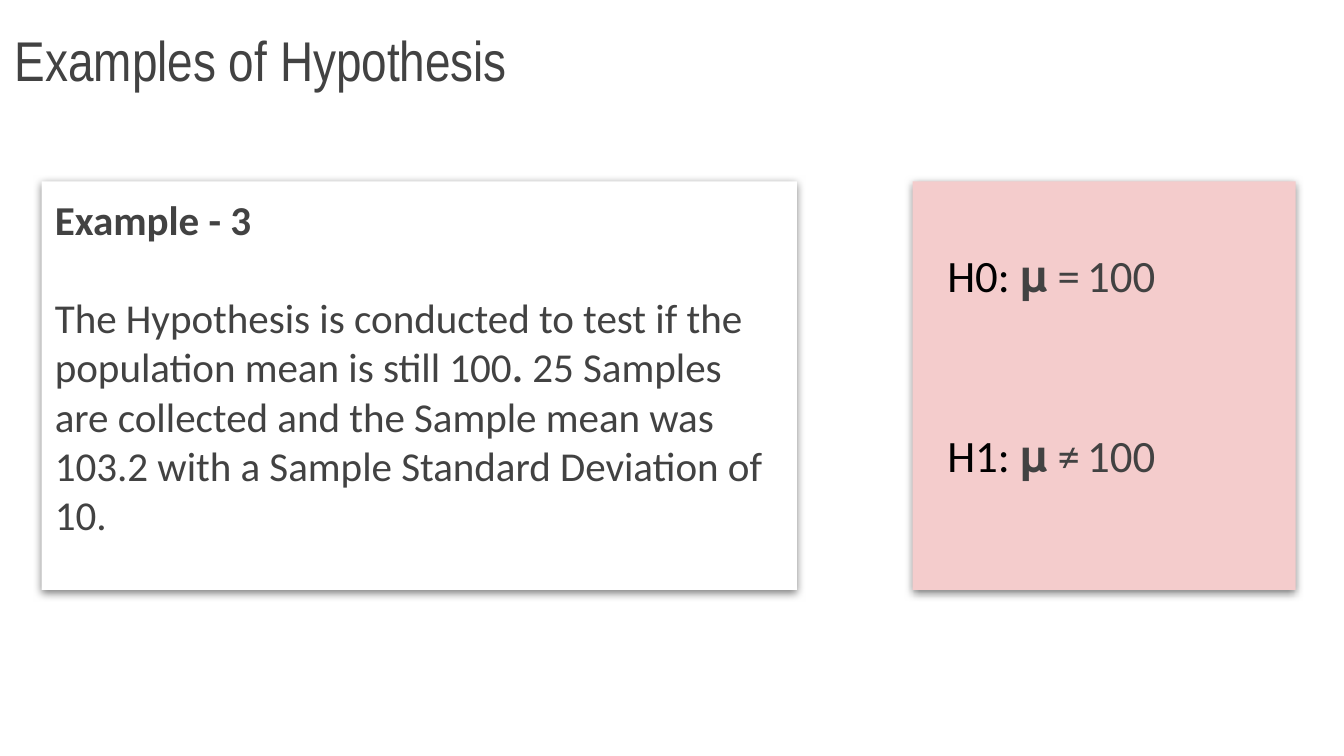
from pptx import Presentation
from pptx.dml.color import RGBColor
from pptx.enum.shapes import MSO_SHAPE
from pptx.enum.text import MSO_ANCHOR, MSO_AUTO_SIZE, PP_ALIGN
from pptx.oxml import parse_xml
from pptx.util import Inches, Pt

GREY, BLACK, WHITE, PINK = "424242", "000000", "FFFFFF", "F4CCCC"
TITLE = "Examples of Hypothesis"
HEADING = "Example - 3"
# (text, bold)
QUESTION = [
    ("The Hypothesis is conducted to test if the population mean is still 100", False),
    (". ", True),
    ("25 Samples are collected and the Sample mean was 103.2 "
     "with a Sample Standard Deviation of 10.", False),
]
# (label, relation, value)
HYPOTHESES = [("H0: ", "𝛍 =", "100"), ("H1: ", "𝛍 ≠", "100")]

SLIDE_W = 10
SLIDE_H = SLIDE_W * 9 / 16
CARD_TOP, CARD_H = 1.35, 3.04
HYPOTHESIS_TOP, HYPOTHESIS_STEP = 1.74, 1.34
SHADOW = """<a:effectLst xmlns:a="http://schemas.openxmlformats.org/drawingml/2006/main">
  <a:outerShdw blurRad="57150" dist="19050" dir="5400000" algn="bl" rotWithShape="0">
    <a:srgbClr val="000000"><a:alpha val="50000"/></a:srgbClr>
  </a:outerShdw></a:effectLst>"""


def rgb(value):
    return RGBColor.from_string(value)


def add_run(p, text, size, color=GREY, bold=False, font="Calibri"):
    r = p.add_run()
    r.text = text
    r.font.name, r.font.size, r.font.bold = font, Pt(size), bold
    r.font.color.rgb = rgb(color)


def set_frame(tf, anchor=MSO_ANCHOR.TOP):
    tf.word_wrap = True
    tf.vertical_anchor = anchor
    tf.margin_left = tf.margin_top = tf.margin_right = tf.margin_bottom = Inches(0.1)


def add_card(slide, left, width, fill):
    sp = slide.shapes.add_shape(MSO_SHAPE.RECTANGLE, Inches(left), Inches(CARD_TOP),
                                Inches(width), Inches(CARD_H))
    sp.fill.solid()
    sp.fill.fore_color.rgb = rgb(fill)
    sp.line.fill.background()
    sp._element.spPr.append(parse_xml(SHADOW))
    set_frame(sp.text_frame)
    return sp


prs = Presentation()
prs.slide_width, prs.slide_height = Inches(SLIDE_W), Inches(SLIDE_H)
slide = prs.slides.add_slide(prs.slide_layouts[5])

title = slide.shapes.title
title.left, title.top, title.width, title.height = map(Inches, (0.01, -0.01, 9.32, 0.8))
set_frame(title.text_frame, MSO_ANCHOR.BOTTOM)
title.text_frame.auto_size = MSO_AUTO_SIZE.NONE
p = title.text_frame.paragraphs[0]
p.alignment = PP_ALIGN.LEFT
add_run(p, TITLE, 30, font="Arial Narrow")

tf = add_card(slide, 0.31, 5.62, WHITE).text_frame
heading, question = tf.paragraphs[0], tf.add_paragraph()
heading.alignment = question.alignment = PP_ALIGN.LEFT
add_run(heading, HEADING, 22, bold=True)
question.space_before = Pt(26)
for text, bold in QUESTION:
    add_run(question, text, 22, bold=bold)

add_card(slide, 6.79, 2.85, PINK)
for i, (label, relation, value) in enumerate(HYPOTHESES):
    box = slide.shapes.add_textbox(Inches(6.95), Inches(HYPOTHESIS_TOP + i * HYPOTHESIS_STEP),
                                   Inches(2.46), Inches(0.61))
    set_frame(box.text_frame)
    box.text_frame.auto_size = MSO_AUTO_SIZE.SHAPE_TO_FIT_TEXT
    p = box.text_frame.paragraphs[0]
    add_run(p, label, 24, BLACK)
    add_run(p, relation, 24)
    add_run(p, " ", 17)
    add_run(p, value, 24)

prs.save("out.pptx")
